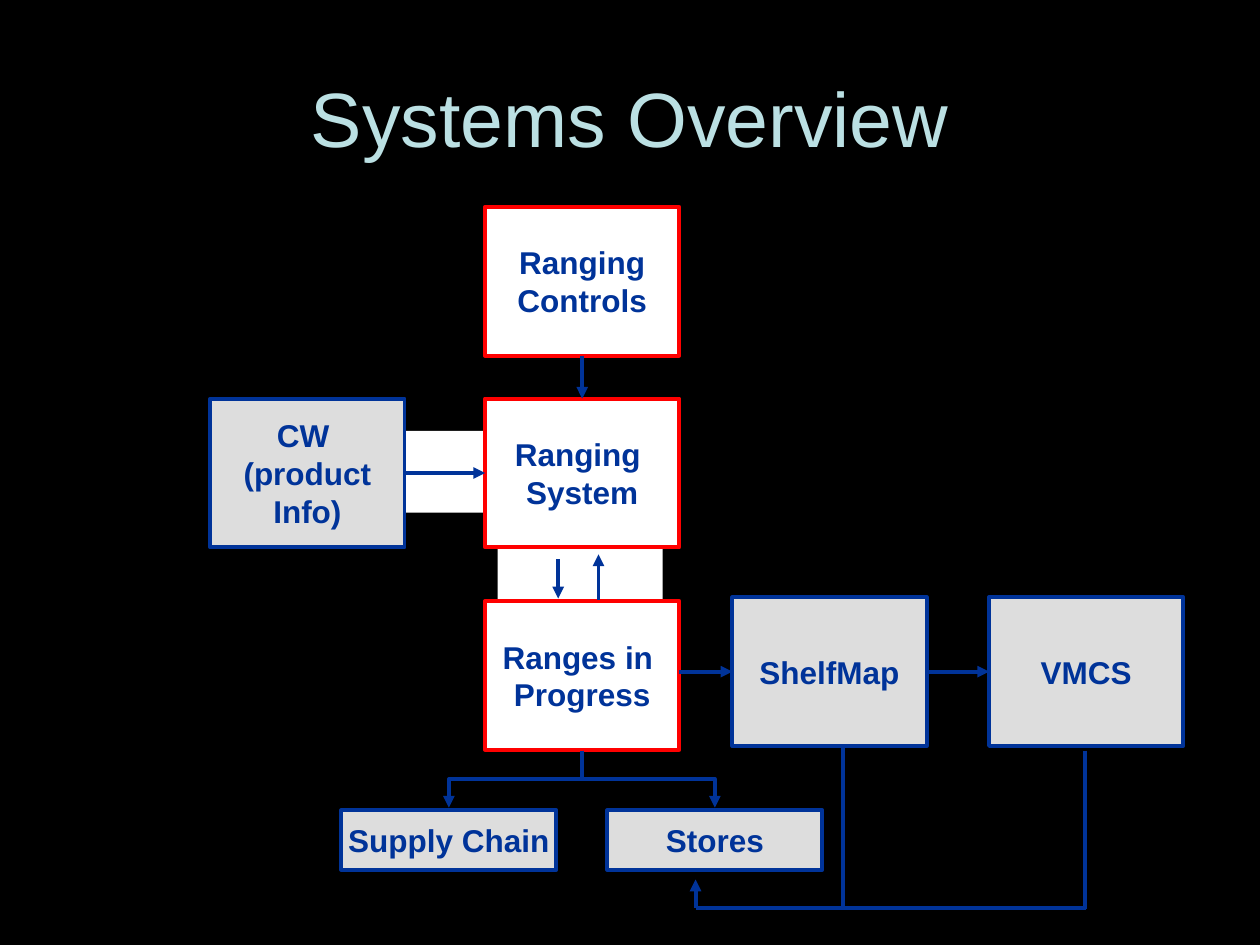
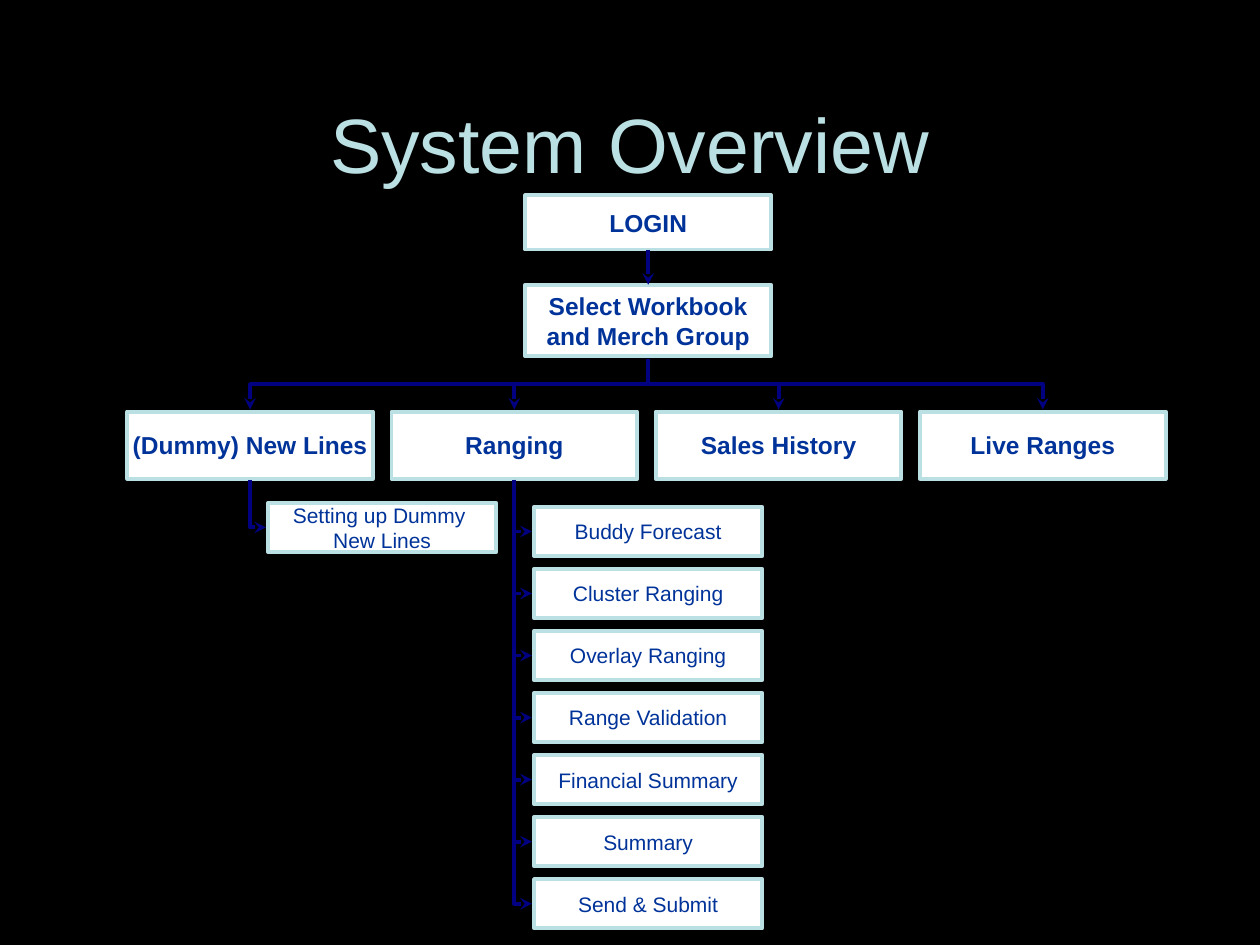
import pptx
import pptx.util
import pptx.dml.color
import pptx.enum.shapes
import pptx.enum.text
import pptx.oxml.ns
import lxml.etree

Pt = pptx.util.Pt
CONNECTOR = pptx.enum.shapes.MSO_CONNECTOR
ANCHOR = pptx.enum.text.MSO_ANCHOR

COLOURS = {
    "background": "000000",
    "title": "BBE0E3",
    "ink": "003399",
    "navy": "000080",
    "panel": "FFFFFF",
    "external": "DDDDDD",
    "highlight": "FF0000",
}
RGB = {name: pptx.dml.color.RGBColor.from_string(value) for name, value in COLOURS.items()}


def add_box(page, text, left, top, width, height, fill=None, line=None, size=18,
            bold=False, colour="ink", anchor=ANCHOR.MIDDLE, wrap=False):
    frame = (Pt(left), Pt(top), Pt(width), Pt(height))
    if fill:
        box = page.shapes.add_shape(pptx.enum.shapes.MSO_SHAPE.RECTANGLE, *frame)
        box.shadow.inherit = False
        box.fill.solid()
        box.fill.fore_color.rgb = RGB[fill]
        if line:
            box.line.color.rgb = RGB[line]
            box.line.width = Pt(2.25)
        else:
            box.line.fill.background()
    else:
        box = page.shapes.add_textbox(*frame)
    box.text_frame.word_wrap = wrap
    box.text_frame.vertical_anchor = anchor
    box.text_frame.text = text
    for para in box.text_frame.paragraphs:
        para.alignment = pptx.enum.text.PP_ALIGN.CENTER
        para.font.name = "Arial"
        para.font.size = Pt(size)
        para.font.bold = bold
        para.font.color.rgb = RGB[colour]
    return box


def add_link(page, start, end, preset="line", colour="ink", head="triangle"):
    (x1, y1), (x2, y2) = start, end
    if preset == "line":
        link = page.shapes.add_connector(CONNECTOR.STRAIGHT, Pt(x1), Pt(y1), Pt(x2), Pt(y2))
    else:
        run, drop = abs(x2 - x1), abs(y2 - y1)
        left, top = (x1 + x2 - drop) / 2, (y1 + y2 - run) / 2
        link = page.shapes.add_connector(
            CONNECTOR.ELBOW, Pt(left), Pt(top), Pt(left + drop), Pt(top + run))
        link.element.xpath(".//a:prstGeom")[0].set("prst", preset)
        turn = link.element.xpath(".//a:xfrm")[0]
        turn.set("rot", str((270 if x2 > x1 else 90) * 60000))
        if x2 > x1:
            turn.set("flipH", "1")
    link.line.color.rgb = RGB[colour]
    link.line.width = Pt(2.25)
    if head:
        outline = link.line._get_or_add_ln()
        lxml.etree.SubElement(outline, pptx.oxml.ns.qn("a:tailEnd"), type=head)
    properties = link.element.xpath("./p:spPr")[0]
    lxml.etree.SubElement(properties, pptx.oxml.ns.qn("a:effectLst"))
    return link


deck = pptx.Presentation()
deck.slide_width = Pt(720)
deck.slide_height = Pt(540)

pages = []
for title, anchor in [("Systems Overview", ANCHOR.MIDDLE), ("System Overview", ANCHOR.BOTTOM)]:
    page = deck.slides.add_slide(deck.slide_layouts[6])
    page.background.fill.solid()
    page.background.fill.fore_color.rgb = RGB["background"]
    add_box(page, title, 36, 21.6, 648, 90, size=44, colour="title", anchor=anchor, wrap=True)
    pages.append(page)
systems_page, menu_page = pages

add_box(systems_page, "", 164.2, 246.2, 190.8, 46.8, fill="panel")
add_box(systems_page, "", 284.4, 258.5, 94.3, 126, fill="panel")

systems = {}
for name, text, left, top, width, height, fill, line in [
    ("controls", "Ranging\nControls", 277.2, 118.2, 111, 85, "panel", "highlight"),
    ("ranging", "Ranging \nSystem", 277.2, 227.8, 111, 85, "panel", "highlight"),
    ("progress", "Ranges in \nProgress", 277.2, 343.4, 111, 85, "panel", "highlight"),
    ("product", "CW \n(product\nInfo)", 120.2, 227.8, 111, 85, "external", "ink"),
    ("space", "ShelfMap", 418.5, 341.3, 111, 85, "external", "ink"),
    ("vmcs", "VMCS", 565.2, 341.3, 111, 85, "external", "ink"),
    ("supply", "Supply Chain", 195, 463, 123, 34, "external", "ink"),
    ("stores", "Stores", 347, 463, 123, 34, "external", "ink"),
]:
    systems[name] = add_box(systems_page, text, left, top, width, height,
                            fill=fill, line=line, bold=True)

for source, source_side, target, target_side in [
    ("controls", 2, "ranging", 0),
    ("product", 3, "ranging", 1),
    ("space", 3, "vmcs", 1),
]:
    link = add_link(systems_page, (0, 0), (0, 0))
    link.begin_connect(systems[source], source_side)
    link.end_connect(systems[target], target_side)

link = add_link(systems_page, (388.2, 383.8), (418.5, 383.8))
link.end_connect(systems["space"], 1)

for start, end, head in [
    ((319, 319.7), (319, 342), "triangle"),
    ((342, 342.7), (342, 316.8), "triangle"),
    ((620, 429), (620, 519.5), None),
    ((620.6, 518.6), (397.5, 518.6), None),
    ((481.5, 427.7), (481.5, 518.6), None),
    ((397.5, 519), (397.5, 502.6), "triangle"),
]:
    add_link(systems_page, start, end, head=head)

for target_middle in (256.5, 408.5):
    add_link(systems_page, (332.7, 429), (target_middle, 461.5), preset="bentConnector3")

menu_style = {"fill": "panel", "line": "title"}
login = add_box(menu_page, "LOGIN", 300.2, 111.6, 140.4, 31,
                size=14, bold=True, wrap=True, **menu_style)
workbook = add_box(menu_page, "Select Workbook\u0020and Merch Group", 300.2, 162.7, 140.4, 41,
                   size=14, bold=True, wrap=True, **menu_style)
link = add_link(menu_page, (0, 0), (0, 0), colour="navy", head="stealth")
link.begin_connect(login, 2)
link.end_connect(workbook, 0)

for column, text in enumerate(["(Dummy) New Lines", "Ranging", "Sales History", "Live Ranges"]):
    left = 72.7 + 151 * column
    add_box(menu_page, text, left, 235.2, 140.4, 38.4, size=14, bold=True, **menu_style)
    add_link(menu_page, (370.5, 205), (left + 70.2, 234),
             preset="bentConnector3", colour="navy", head="stealth")

ranging_steps = ["Buddy Forecast", "Cluster Ranging", "Overlay Ranging", "Range Validation",
                 "Financial Summary", "Summary", "Send & Submit"]
leaves = [("Setting up Dummy \nNew Lines", 153.2, 287.3, 142.7)]
leaves += [(text, 305.2, 289.6 + 35.45 * row, 293.8) for row, text in enumerate(ranging_steps)]
for text, left, top, trunk in leaves:
    add_box(menu_page, text, left, top, 130.4, 28.2, size=12, **menu_style)
    add_link(menu_page, (trunk, 274.3), (left - 1.3, top + 14.1),
             preset="bentConnector2", colour="navy", head="stealth")

deck.save("out.pptx")
